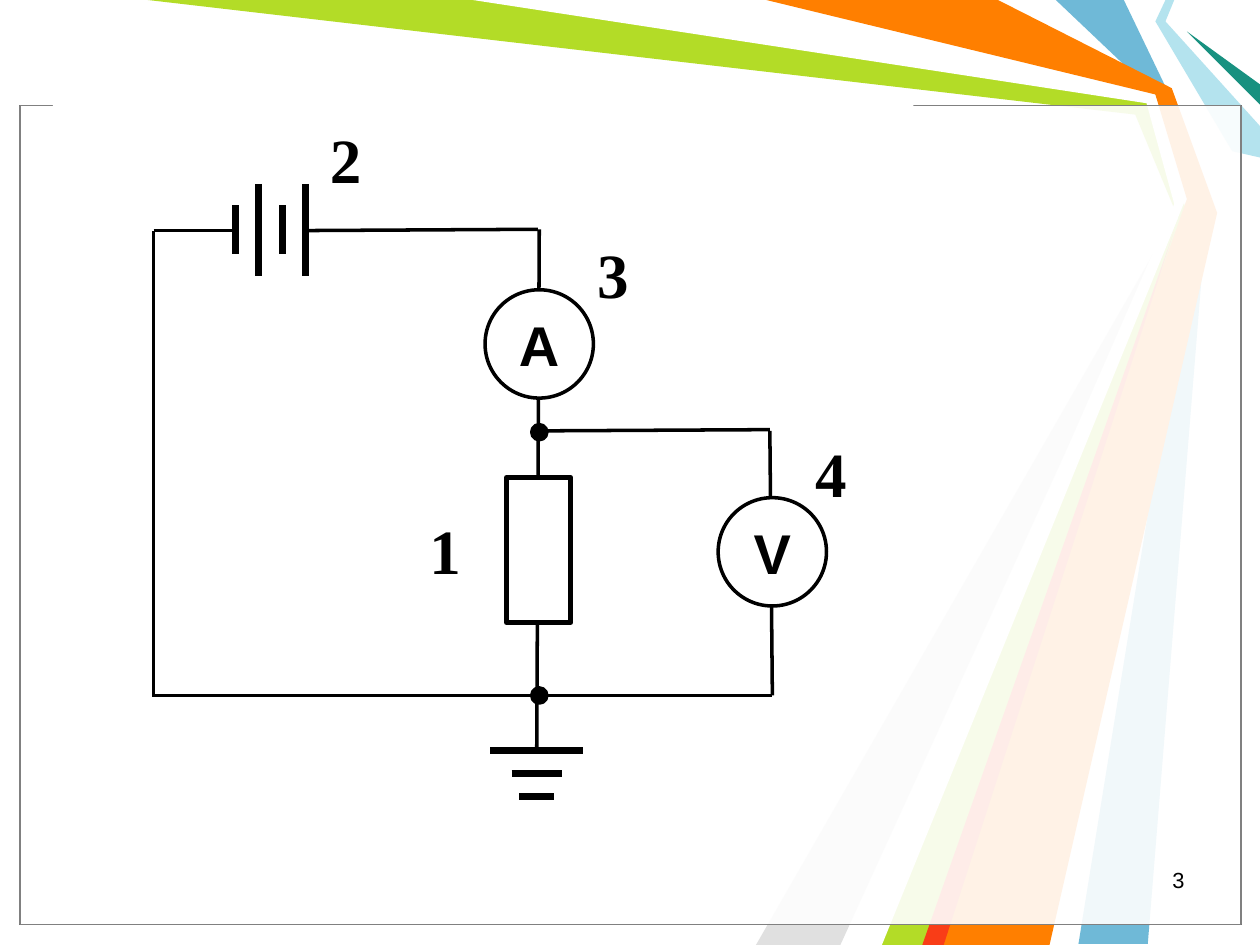
from typing import NamedTuple

from lxml.etree import SubElement
from pptx import Presentation
from pptx.dml.color import RGBColor
from pptx.enum.shapes import MSO_CONNECTOR, MSO_SHAPE
from pptx.enum.text import MSO_ANCHOR, MSO_AUTO_SIZE, PP_ALIGN
from pptx.oxml.ns import qn
from pptx.util import Inches, Pt

BLACK = RGBColor(0x00, 0x00, 0x00)
WHITE = RGBColor(0xFF, 0xFF, 0xFF)
GREY = RGBColor(0x80, 0x80, 0x80)
SILVER = RGBColor(0xE0, 0xE0, 0xE0)
BLUE = RGBColor(0x6F, 0xB9, 0xD7)
PALE_BLUE = RGBColor(0xB4, 0xE3, 0xEE)
LIME = RGBColor(0xB3, 0xDC, 0x27)
TEAL = RGBColor(0x18, 0x91, 0x80)
ORANGE = RGBColor(0xFF, 0x7F, 0x00)
RED = RGBColor(0xF9, 0x3D, 0x17)

WIRE, BAR = 2, 4  # line widths in points


class Ribbon(NamedTuple):
    color: RGBColor
    points: list[tuple[float, float]]


class Wire(NamedTuple):
    x1: float
    y1: float
    x2: float
    y2: float
    width: float = WIRE


class Label(NamedTuple):
    text: str
    x: float
    y: float


RIBBONS = [
    Ribbon(BLUE, [(8.92, 0), (9.29, 0.77), (9.58, 1.67), (9.11, 7.49),
                  (8.56, 7.49), (9.5, 1.67), (9.17, 0.75), (8.38, 0)]),
    Ribbon(LIME, [(1.17, 0), (3.83, 0), (9.14, 0.78), (9.42, 1.69),
                  (7.42, 7.5), (6.92, 7.5), (9.35, 1.73), (9.01, 0.91)]),
    Ribbon(SILVER, [(6.67, 7.5), (9.27, 1.81), (6, 7.5)]),
    Ribbon(WHITE, [(3.75, 0), (9.1, 0.82), (9.32, 1.62), (6.75, 7.5),
                   (7, 7.5), (9.41, 1.58), (9.17, 0.75), (6, 0)]),
    Ribbon(PALE_BLUE, [(9.25, 0), (9.17, 0.17), (9.78, 1.2), (10, 1.25),
                       (10, 1), (9.25, 0.17), (9.32, 0)]),
    Ribbon(TEAL, [(10, 0.83), (9.42, 0.25), (10, 0.67)]),
    Ribbon(ORANGE, [(6.08, 0), (7.92, 0), (9.3, 0.7), (9.66, 1.69),
                    (8.33, 7.5), (7.33, 7.5), (9.42, 1.58), (9.17, 0.75)]),
    Ribbon(RED, [(7.32, 7.5), (9.32, 1.83), (7.49, 7.5)]),
]

# Battery plates stand at equal steps, short and long in turn
PLATES = [Wire(1.87 + 0.185 * i, 1.825 - half, 1.87 + 0.185 * i, 1.825 + half, BAR)
          for i, half in enumerate((0.195, 0.365, 0.195, 0.365))]

# Ground bars shrink downwards around the main wire
GROUND = [Wire(4.26 - half, 5.96 + 0.18 * i, 4.26 + half, 5.96 + 0.18 * i, BAR)
          for i, half in enumerate((0.37, 0.2, 0.14))]

MAIN_WIRES = [
    Wire(2.42, 1.83, 4.27, 1.82),
    Wire(1.22, 1.83, 1.87, 1.83),
    Wire(1.22, 1.83, 1.22, 5.53),
    Wire(4.28, 1.82, 4.26, 5.94),
]
BRANCH_WIRES = [
    Wire(1.22, 5.52, 6.13, 5.52),
    Wire(4.27, 3.42, 6.11, 3.41),
    Wire(6.11, 3.42, 6.13, 5.52),
]
METERS = [Label("A", 3.85, 2.3), Label("V", 5.7, 3.95)]
NUMBERS = [Label("1", 3.31, 4.01), Label("2", 2.52, 0.91),
           Label("3", 4.64, 1.82), Label("4", 6.37, 3.4)]


def set_text(sp, text: str, *, size: float, font: str = "Arial", bold: bool = False,
             align=PP_ALIGN.LEFT, anchor=MSO_ANCHOR.TOP, wrap: bool = True,
             spacing: float = 1.0) -> None:
    tf = sp.text_frame
    tf.word_wrap = wrap
    tf.vertical_anchor = anchor
    p = tf.paragraphs[0]
    p.alignment = align
    p.line_spacing = spacing
    r = p.add_run()
    r.text = text
    r.font.name = font
    r.font.size = Pt(size)
    r.font.bold = bold
    r.font.color.rgb = BLACK


def style(sp, fill: RGBColor, line: RGBColor | None, width: float) -> None:
    sp.shadow.inherit = False
    sp.fill.solid()
    sp.fill.fore_color.rgb = fill
    if line is None:
        sp.line.fill.background()
    else:
        sp.line.color.rgb = line
        sp.line.width = Pt(width)


def add_box(s, kind, x: float, y: float, w: float, h: float, *,
            fill: RGBColor = WHITE, line: RGBColor | None = BLACK, width: float = WIRE):
    sp = s.shapes.add_shape(kind, Inches(x), Inches(y), Inches(w), Inches(h))
    style(sp, fill, line, width)
    return sp


def add_ribbon(s, ribbon: Ribbon) -> None:
    points = [(Inches(x), Inches(y)) for x, y in ribbon.points]
    builder = s.shapes.build_freeform(*points[0])
    builder.add_line_segments(points[1:], close=True)
    style(builder.convert_to_shape(), ribbon.color, None, 0)


def add_wire(s, wire: Wire) -> None:
    ends = [Inches(v) for v in wire[:4]]
    cn = s.shapes.add_connector(MSO_CONNECTOR.STRAIGHT, *ends)
    cn.line.color.rgb = BLACK
    cn.line.width = Pt(wire.width)
    SubElement(cn._element.spPr, qn("a:effectLst"))


def add_text_box(s, x: float, y: float, w: float, h: float):
    return s.shapes.add_textbox(Inches(x), Inches(y), Inches(w), Inches(h))


def add_backdrop(s) -> None:
    for ribbon in RIBBONS:
        add_ribbon(s, ribbon)
    # Two translucent sheets veil the ribbons
    for line in (BLACK, GREY):
        sheet = add_box(s, MSO_SHAPE.RECTANGLE, 0.16, 0.84, 9.69, 6.5,
                        line=line, width=0.75)
        color = sheet._element.spPr.find(qn("a:solidFill"))[0]
        SubElement(color, qn("a:alpha"), val="69000")
    # Gap in the top edge of the frame
    add_box(s, MSO_SHAPE.RECTANGLE, 0.42, 0.74, 6.83, 0.17, line=None)


def add_circuit(s) -> None:
    for wire in PLATES + MAIN_WIRES:
        add_wire(s, wire)
    # Resistor
    add_box(s, MSO_SHAPE.RECTANGLE, 4.02, 3.79, 0.51, 1.15, width=3)
    for wire in BRANCH_WIRES:
        add_wire(s, wire)
    for meter in METERS:
        sp = add_box(s, MSO_SHAPE.OVAL, meter.x, meter.y, 0.86, 0.86)
        set_text(sp, meter.text, size=32, bold=True,
                 align=PP_ALIGN.CENTER, anchor=MSO_ANCHOR.MIDDLE)
    # Junctions
    for y in (3.37, 5.46):
        add_box(s, MSO_SHAPE.OVAL, 4.22, y, 0.12, 0.12, fill=BLACK)
    for wire in GROUND:
        add_wire(s, wire)
    for number in NUMBERS:
        tb = add_text_box(s, number.x, number.y, 0.45, 0.7)
        set_text(tb, number.text, size=36, font="Times New Roman", bold=True, wrap=False)
        tb.text_frame.auto_size = MSO_AUTO_SIZE.SHAPE_TO_FIT_TEXT


def main() -> None:
    prs = Presentation()
    prs.slide_width, prs.slide_height = Inches(10), Inches(7.5)
    s = prs.slides.add_slide(prs.slide_layouts[6])
    add_backdrop(s)
    # Page number
    page_number = add_text_box(s, 7.17, 6.87, 2.33, 0.33)
    set_text(page_number, "3", size=12.5, align=PP_ALIGN.RIGHT, spacing=0.8)
    add_circuit(s)
    prs.save("out.pptx")


if __name__ == "__main__":
    main()
